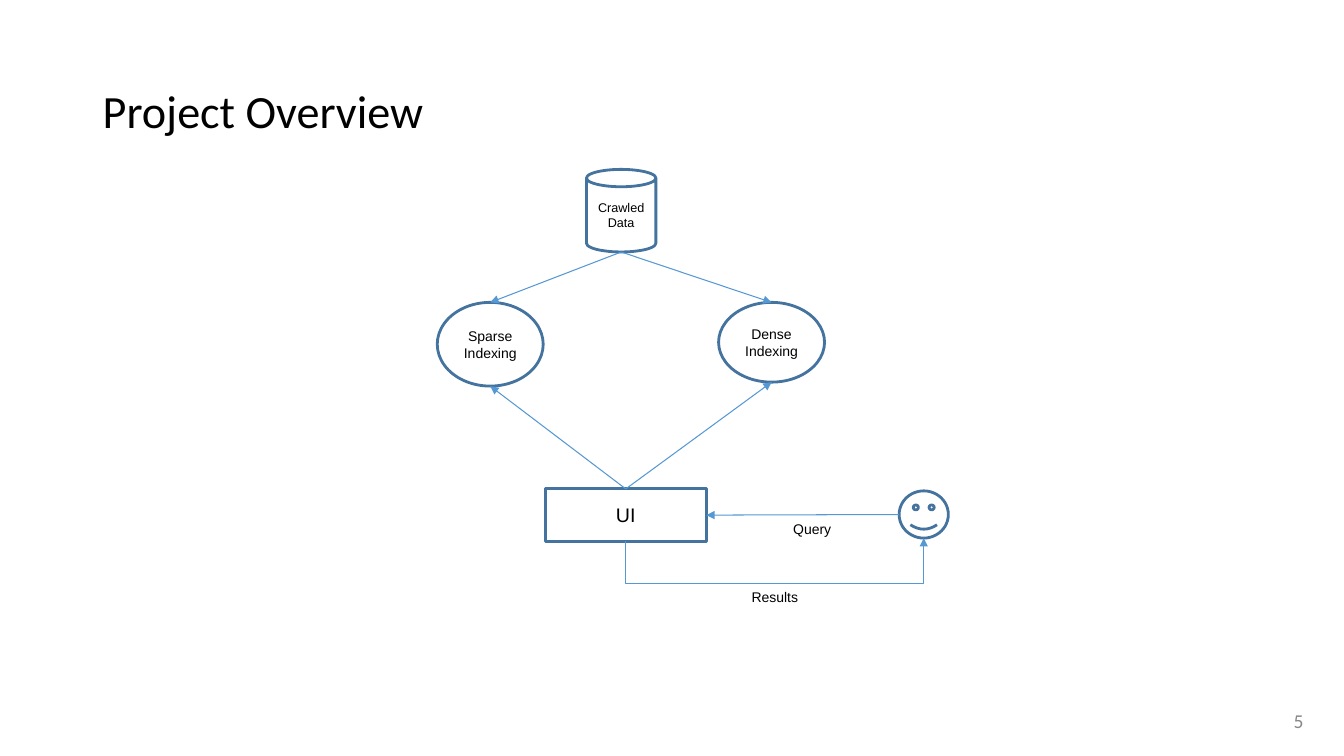
"""Build the Project Overview slide with its search system diagram."""

from dataclasses import dataclass

from lxml import etree
from pptx import Presentation
from pptx.dml.color import RGBColor
from pptx.enum.shapes import MSO_CONNECTOR, MSO_SHAPE
from pptx.enum.text import MSO_ANCHOR, PP_ALIGN
from pptx.oxml.ns import qn
from pptx.shapes.connector import Connector
from pptx.slide import Slide
from pptx.text.text import TextFrame
from pptx.util import Cm, Pt

CAN, ELLIPSE = MSO_SHAPE.CAN, MSO_SHAPE.OVAL
SMILEY, RECTANGLE = MSO_SHAPE.SMILEY_FACE, MSO_SHAPE.RECTANGLE
STRAIGHT, ELBOW = MSO_CONNECTOR.STRAIGHT, MSO_CONNECTOR.ELBOW
TOP, MIDDLE = MSO_ANCHOR.TOP, MSO_ANCHOR.MIDDLE
LEFT, CENTER, RIGHT = PP_ALIGN.LEFT, PP_ALIGN.CENTER, PP_ALIGN.RIGHT

Point = tuple[float, float]


@dataclass(frozen=True)
class Theme:
    """Colours, fonts and sizes of the slide."""

    ink: RGBColor = RGBColor(0x00, 0x00, 0x00)
    muted: RGBColor = RGBColor(0x88, 0x88, 0x88)
    outline: RGBColor = RGBColor(0x43, 0x73, 0x9E)
    arrow: RGBColor = RGBColor(0x56, 0x98, 0xD3)
    heading_font: str = "Calibri"
    body_font: str = "Arial"
    title_size: float = 33
    large_size: float = 14
    label_size: float = 10
    small_size: float = 9
    outline_width: float = 2
    arrow_width: float = 0.75


THEME = Theme()


@dataclass(frozen=True)
class Area:
    """A rectangle in centimetres with its edge midpoints."""

    left: float
    top: float
    width: float
    height: float

    @property
    def north(self) -> Point:
        """Return the middle of the top edge."""
        return self.left + self.width / 2, self.top

    @property
    def south(self) -> Point:
        """Return the middle of the bottom edge."""
        return self.left + self.width / 2, self.top + self.height

    @property
    def west(self) -> Point:
        """Return the middle of the left edge."""
        return self.left, self.top + self.height / 2

    @property
    def east(self) -> Point:
        """Return the middle of the right edge."""
        return self.left + self.width, self.top + self.height / 2

    def lengths(self) -> tuple[Cm, Cm, Cm, Cm]:
        """Return position and size as lengths."""
        return Cm(self.left), Cm(self.top), Cm(self.width), Cm(self.height)


@dataclass(frozen=True)
class Node:
    """An outlined shape of the diagram."""

    kind: MSO_SHAPE
    area: Area
    text: str = ""
    size: float = THEME.label_size


@dataclass(frozen=True)
class Label:
    """A piece of free text."""

    text: str
    area: Area
    size: float = THEME.label_size
    font: str = THEME.body_font
    color: RGBColor = THEME.ink
    align: PP_ALIGN = LEFT
    anchor: MSO_ANCHOR = TOP
    spacing: float = 1.0


DATA = Node(CAN, Area(14.78, 4.27, 1.75, 2.08), "Crawled Data", THEME.small_size)
SPARSE = Node(ELLIPSE, Area(11.02, 7.62, 2.67, 2.11), "Sparse Indexing")
DENSE = Node(ELLIPSE, Area(18.11, 7.62, 2.67, 2.01), "Dense Indexing")
USER = Node(SMILEY, Area(22.66, 12.37, 1.24, 1.19))
INTERFACE = Node(RECTANGLE, Area(13.74, 12.32, 4.06, 1.32), "UI", THEME.large_size)
NODES = (DATA, SPARSE, DENSE, USER, INTERFACE)

ARROWS = (
    (USER.area.west, INTERFACE.area.east),
    (INTERFACE.area.north, SPARSE.area.south),
    (INTERFACE.area.north, DENSE.area.south),
    (DATA.area.south, DENSE.area.north),
    (DATA.area.south, SPARSE.area.north),
)
RESULTS_DROP = 1.07

LABELS = (
    Label("Project Overview", Area(2.34, 1.02, 29.21, 3.68), THEME.title_size,
          THEME.heading_font, anchor=MIDDLE, spacing=0.9),
    Label("5", Area(25.48, 17.65, 7.62, 1.02), THEME.large_size,
          THEME.heading_font, THEME.muted, RIGHT, MIDDLE),
    Label("Query", Area(19.74, 12.98, 1.63, 0.69)),
    Label("Results", Area(18.69, 14.71, 1.88, 0.69)),
)


def write_text(frame: TextFrame, label: Label, inset: float) -> None:
    """Fill a text frame with one formatted paragraph."""
    frame.word_wrap = True
    frame.vertical_anchor = label.anchor
    frame.margin_left = frame.margin_right = Cm(inset)
    frame.margin_top = frame.margin_bottom = Cm(0.13)
    frame.text = label.text
    para = frame.paragraphs[0]
    para.alignment = label.align
    para.line_spacing = label.spacing
    for span in para.runs:
        span.font.name = label.font
        span.font.size = Pt(label.size)
        span.font.color.rgb = label.color


def draw_label(page: Slide, label: Label) -> None:
    """Add a text box."""
    box = page.shapes.add_textbox(*label.area.lengths())
    write_text(box.text_frame, label, 0.25)


def draw_node(page: Slide, node: Node) -> None:
    """Add an outlined shape with centred text."""
    shape = page.shapes.add_shape(node.kind, *node.area.lengths())
    shape.shadow.inherit = False
    shape.fill.background()
    shape.line.color.rgb = THEME.outline
    shape.line.width = Pt(THEME.outline_width)
    if node.text:
        label = Label(node.text, node.area, node.size, align=CENTER, anchor=MIDDLE)
        write_text(shape.text_frame, label, 0.15)


def draw_arrow(page: Slide, start: Point, end: Point,
               kind: MSO_CONNECTOR = STRAIGHT) -> Connector:
    """Add a connector with an arrowhead at its end."""
    arrow = page.shapes.add_connector(kind, *map(Cm, (*start, *end)))
    arrow.line.color.rgb = THEME.arrow
    arrow.line.width = Pt(THEME.arrow_width)
    line = arrow.line._get_or_add_ln()
    etree.SubElement(line, qn("a:tailEnd"), type="triangle")
    etree.SubElement(arrow._element.spPr, qn("a:effectLst"))
    return arrow


def draw_return(page: Slide, start: Point, end: Point, drop: float) -> None:
    """Add an elbow arrow that dips below both of its ends."""
    run, rise = end[0] - start[0], start[1] - end[1]
    center_x, center_y = (start[0] + end[0]) / 2, (start[1] + end[1]) / 2
    arrow = draw_arrow(page, (center_x + rise / 2, center_y + run / 2),
                       (center_x - rise / 2, center_y - run / 2), ELBOW)
    properties = arrow._element.spPr
    properties.find(qn("a:xfrm")).set("rot", str(90 * 60000))
    guides = properties.find(qn("a:prstGeom")).get_or_add_avLst()
    bend = round(-drop / rise * 100000)
    etree.SubElement(guides, qn("a:gd"), name="adj1", fmla=f"val {bend}")


def main() -> None:
    """Build and save the deck."""
    deck = Presentation()
    deck.slide_width, deck.slide_height = Cm(33.87), Cm(19.05)
    page = deck.slides.add_slide(deck.slide_layouts[6])
    for node in NODES:
        draw_node(page, node)
    for start, end in ARROWS:
        draw_arrow(page, start, end)
    draw_return(page, INTERFACE.area.south, USER.area.south, RESULTS_DROP)
    for label in LABELS:
        draw_label(page, label)
    deck.save("out.pptx")


if __name__ == "__main__":
    main()
